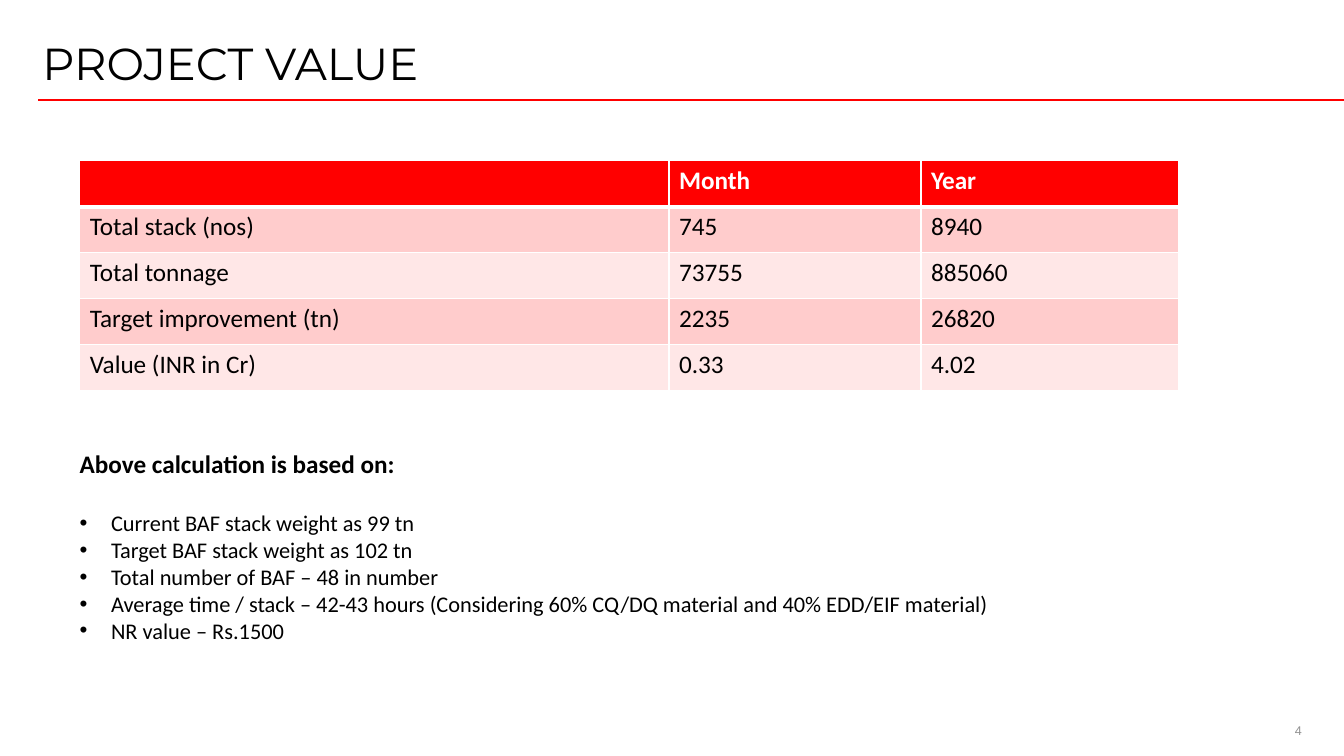
from lxml import etree
from pptx import Presentation
from pptx.dml.color import RGBColor
from pptx.enum.shapes import MSO_CONNECTOR as Connector
from pptx.enum.text import MSO_ANCHOR as Anchor, PP_ALIGN as Align
from pptx.oxml.ns import qn
from pptx.util import Cm, Pt

TITLE = "PROJECT VALUE"
PAGE_NUMBER = "4"
VALUES = [
    ("", "Month", "Year"),
    ("Total stack (nos)", "745", "8940"),
    ("Total tonnage", "73755", "885060"),
    ("Target improvement (tn)", "2235", "26820"),
    ("Value (INR in Cr)", "0.33", "4.02"),
]
BASIS_HEADING = "Above calculation is based on:"
BASIS = [
    "Current BAF stack weight as 99 tn",
    "Target BAF stack weight as 102 tn",
    "Total number of BAF – 48 in number",
    "Average time / stack – 42-43 hours (Considering 60% CQ/DQ material and 40% EDD/EIF material)",
    "NR value – Rs.1500",
]

RED, WHITE, BLACK, GREY = "FF0000", "FFFFFF", "000000", "919191"
BANDS = ("FFCCCC", "FFE7E7")
SLIDE_W, SLIDE_H = 33.87, 19.05
LEFT = 2.01
COLUMNS = (14.85, 6.35, 6.48)
ROW_H = 1.16
INDENT = 0.79


def color(value):
    return RGBColor.from_string(value)


def write(p, text, size=18, font="Calibri", fill=BLACK, bold=False, align=Align.LEFT):
    p.alignment = align
    r = p.add_run()
    r.text = text
    r.font.size, r.font.name, r.font.bold = Pt(size), font, bold
    r.font.color.rgb = color(fill)


def text_frame(s, x, y, w, h, top=0.0, bottom=0.0):
    tf = s.shapes.add_textbox(Cm(x), Cm(y), Cm(w), Cm(h)).text_frame
    tf.word_wrap = True
    tf.vertical_anchor = Anchor.TOP
    tf.margin_left = tf.margin_right = 0
    tf.margin_top, tf.margin_bottom = Cm(top), Cm(bottom)
    return tf


def add_bullet(p):
    pPr = p._p.get_or_add_pPr()
    pPr.set("marL", str(Cm(INDENT)))
    pPr.set("indent", str(-Cm(INDENT)))
    etree.SubElement(pPr, qn("a:buFont"), typeface="Arial")
    etree.SubElement(pPr, qn("a:buChar"), char="•")


def set_borders(cell, bottom):
    tcPr = cell._tc.get_or_add_tcPr()
    for side, width in (("L", 1), ("R", 1), ("T", 1), ("B", bottom)):
        ln = etree.SubElement(tcPr, qn(f"a:ln{side}"), w=str(Pt(width)))
        solid = etree.SubElement(ln, qn("a:solidFill"))
        etree.SubElement(solid, qn("a:srgbClr"), val=WHITE)


def add_header(s):
    rule = s.shapes.add_connector(Connector.STRAIGHT, Cm(0.97), Cm(2.52), Cm(SLIDE_W), Cm(2.52))
    rule.line.color.rgb = color(RED)
    rule.line.width = Pt(1)
    etree.SubElement(rule._element.spPr, qn("a:effectLst"))
    p = text_frame(s, 1.07, 1.07, 31.75, 1.47, top=0.2).paragraphs[0]
    p.line_spacing = 0.7
    write(p, TITLE, size=32, font="Montserrat")


def add_values(s):
    table = s.shapes.add_table(len(VALUES), len(COLUMNS), Cm(LEFT), Cm(4.05),
                               Cm(sum(COLUMNS)), Cm(ROW_H * len(VALUES))).table
    for column, width in zip(table.columns, COLUMNS):
        column.width = Cm(width)
    for i, row in enumerate(VALUES):
        table.rows[i].height = Cm(ROW_H)
        header = i == 0
        for j, text in enumerate(row):
            cell = table.cell(i, j)
            set_borders(cell, bottom=3 if header else 1)
            cell.fill.solid()
            cell.fill.fore_color.rgb = color(RED if header else BANDS[(i - 1) % 2])
            if text:
                write(cell.text_frame.paragraphs[0], text,
                      fill=WHITE if header else BLACK, bold=header)


def add_basis(s):
    tf = text_frame(s, LEFT, 11.3, 28.6, 5.08, bottom=0.13)
    heading = tf.paragraphs[0]
    heading.space_after = Pt(22)
    write(heading, BASIS_HEADING, bold=True)
    for text in BASIS:
        p = tf.add_paragraph()
        add_bullet(p)
        write(p, text, size=16)


def main():
    prs = Presentation()
    prs.slide_width, prs.slide_height = Cm(SLIDE_W), Cm(SLIDE_H)
    s = prs.slides.add_slide(prs.slide_layouts[6])
    add_header(s)
    add_values(s)
    add_basis(s)
    page = text_frame(s, 31.34, 18.08, 1.47, 0.64, top=0.13)
    write(page.paragraphs[0], PAGE_NUMBER, size=9, font="Arial", fill=GREY, align=Align.RIGHT)
    prs.save("out.pptx")


if __name__ == "__main__":
    main()
